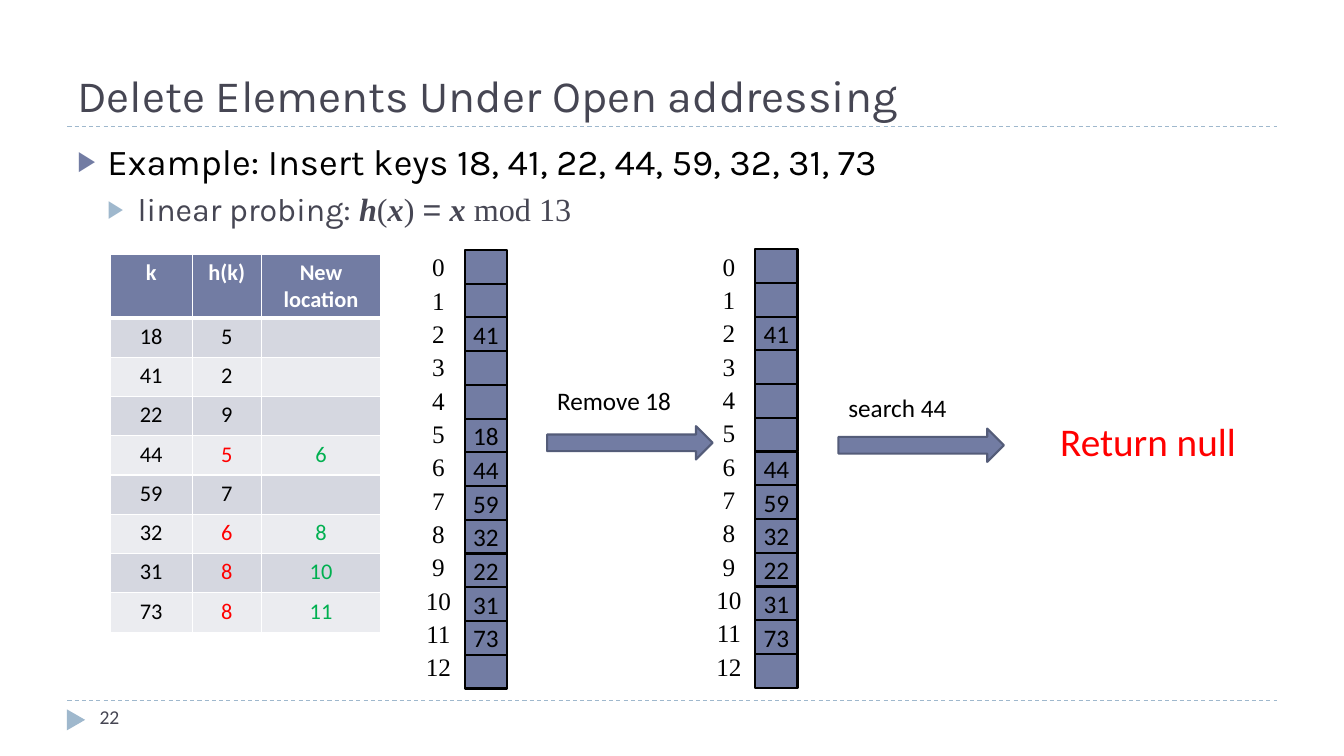
from lxml.etree import SubElement
from pptx import Presentation
from pptx.dml.color import RGBColor
from pptx.enum.dml import MSO_LINE_DASH_STYLE as Dash
from pptx.enum.shapes import MSO_CONNECTOR as Connector, MSO_SHAPE as Shape
from pptx.enum.text import MSO_ANCHOR as Anchor, PP_ALIGN as Align
from pptx.oxml.ns import qn
from pptx.util import Cm, Pt

# Colours and fonts
WHITE = RGBColor(0xFF, 0xFF, 0xFF)
BLACK = RGBColor(0, 0, 0)
RED = RGBColor(0xFF, 0, 0)
GREEN = RGBColor(0, 0xB0, 0x50)
SLATE = RGBColor(0x46, 0x46, 0x53)
INDIGO = RGBColor(0x72, 0x7C, 0xA3)
DARK_INDIGO = RGBColor(0x54, 0x5C, 0x79)
SKY = RGBColor(0x9F, 0xB8, 0xCD)
BANDS = (RGBColor(0xD5, 0xD7, 0xE0), RGBColor(0xEB, 0xEC, 0xF0))
KARLA, CALIBRI, TIMES, ARIAL = "Karla", "Calibri", "Times New Roman", "Arial"

# Content
TITLE = "Delete Elements Under Open addressing"
PAGE = "22"
# Bullets: level, size, colour, bullet colour, space before,
# runs of (text, font, bold italic)
BULLETS = [
    (0, 26, BLACK, INDIGO, 6,
     [("Example: Insert keys 18, 41, 22, 44, 59, 32, 31, 73", KARLA, False)]),
    (1, 23, SLATE, SKY, 5,
     [("linear probing: ", KARLA, False), ("h", TIMES, True),
      ("(", TIMES, False), ("x", TIMES, True), (") ", TIMES, False),
      ("=", ARIAL, False), (" x ", TIMES, True), ("mod 13", TIMES, False)]),
]
HEADER = ("k", "h(k)", "New\nlocation")
PROBES = [
    ("18", "5", ""), ("41", "2", ""), ("22", "9", ""), ("44", "5", "6"),
    ("59", "7", ""), ("32", "6", "8"), ("31", "8", "10"), ("73", "8", "11"),
]
SLOTS = 13
FULL = {2: 41, 5: 18, 6: 44, 7: 59, 8: 32, 9: 22, 10: 31, 11: 73}
AFTER_REMOVAL = {slot: key for slot, key in FULL.items() if key != 18}
# Hash tables: left of cells, top, keys by slot
HASH_TABLES = [(11.71, 6.3, FULL), (19.03, 6.28, AFTER_REMOVAL)]
# Steps: label, left, label top, arrow top
STEPS = [("Remove 18", 13.79, 9.58, 10.74), ("search 44", 21.13, 9.75, 10.8)]
RESULT = "Return null"

# Layout in centimetres
RULE_LEFT, RULE_RIGHT, RULE_TOPS = 1.7, 32.18, (17.65, 3.18)
CELL_WIDTH, CELL_PITCH = 1.07, 0.85
INDEX_OFFSET, INDEX_WIDTH, INDEX_PITCH = -1.25, 1.18, 0.84
STEP_WIDTH = 4.17
COLUMN_WIDTHS = (2.08, 1.73, 3.02)
HEADER_HEIGHT, ROW_HEIGHT = 1.6, 0.99


def style(font, size, face, color, bold=False):
    font.size, font.name, font.bold = Pt(size), face, bold
    font.color.rgb = color


def write(frame, text, size, face, color, align=Align.LEFT, bold=False):
    frame.text = text
    for paragraph in frame.paragraphs:
        paragraph.alignment = align
        style(paragraph.font, size, face, color, bold)


def add_text(shapes, box, text, size, face, color, align=Align.LEFT):
    frame = shapes.add_textbox(*map(Cm, box)).text_frame
    frame.word_wrap = True
    write(frame, text, size, face, color, align)
    return frame


def add_block(shapes, kind, box, fill, line=None):
    block = shapes.add_shape(kind, *map(Cm, box))
    block.shadow.inherit = False
    block.fill.solid()
    block.fill.fore_color.rgb = fill
    if line is None:
        block.line.fill.background()
    else:
        block.line.color.rgb = line
        block.line.width = Pt(1.5)
    return block


def add_bullet(paragraph, level, color):
    properties = paragraph._p.get_or_add_pPr()
    properties.set("marL", str(Cm(0.76 * (level + 1))))
    properties.set("indent", str(Cm(-0.76)))
    bullet_color = SubElement(properties, qn("a:buClr"))
    SubElement(bullet_color, qn("a:srgbClr"), val=str(color))
    SubElement(properties, qn("a:buSzPct"), val="76000")
    SubElement(properties, qn("a:buFont"), typeface=ARIAL)
    SubElement(properties, qn("a:buChar"), char="▶")


def fill_cell(cell, text, color, fill, bold=False):
    for side in "LRTB":
        width = Pt(3 if bold and side == "B" else 1)
        border = SubElement(cell._tc.get_or_add_tcPr(), qn(f"a:ln{side}"), w=str(width))
        paint = SubElement(border, qn("a:solidFill"))
        SubElement(paint, qn("a:srgbClr"), val=str(WHITE))
    cell.fill.solid()
    cell.fill.fore_color.rgb = fill
    write(cell.text_frame, text, 16, CALIBRI, color, Align.CENTER, bold)


deck = Presentation()
deck.slide_width, deck.slide_height = Cm(33.87), Cm(19.05)
shapes = deck.slides.add_slide(deck.slide_layouts[6]).shapes

# Dashed rules and page marker
for top in RULE_TOPS:
    rule = shapes.add_connector(
        Connector.STRAIGHT, Cm(RULE_LEFT), Cm(top), Cm(RULE_RIGHT), Cm(top))
    rule.line.color.rgb = SKY
    rule.line.width = Pt(0.75)
    rule.line.dash_style = Dash.DASH
    SubElement(rule._element.spPr, qn("a:effectLst"))
marker = add_block(shapes, Shape.ISOSCELES_TRIANGLE, (1.65, 17.91, 0.53, 0.46), SKY)
marker.rotation = 90
add_text(shapes, (2.26, 17.65, 7.34, 1.02), PAGE, 14, CALIBRI, SLATE)

# Title and bullets
title = add_text(shapes, (1.7, 0.43, 30.48, 2.75), TITLE, 32, KARLA, SLATE)
title.vertical_anchor = Anchor.BOTTOM
body = shapes.add_textbox(Cm(1.7), Cm(3.38), Cm(30.48), Cm(2.7)).text_frame
body.word_wrap = True
for level, size, color, bullet_color, space, runs in BULLETS:
    paragraph = body.paragraphs[0] if level == 0 else body.add_paragraph()
    paragraph.level = level
    paragraph.space_before = Pt(space)
    add_bullet(paragraph, level, bullet_color)
    for text, face, emphasis in runs:
        run = paragraph.add_run()
        run.text = text
        style(run.font, size, face, color, emphasis)
        run.font.italic = emphasis

# Probe table; a key with a new location collided
probes = shapes.add_table(
    len(PROBES) + 1, len(HEADER), Cm(2.77), Cm(6.4), Cm(sum(COLUMN_WIDTHS)),
    Cm(HEADER_HEIGHT + ROW_HEIGHT * len(PROBES))).table
for column, width in zip(probes.columns, COLUMN_WIDTHS):
    column.width = Cm(width)
for row in probes.rows:
    row.height = Cm(ROW_HEIGHT)
probes.rows[0].height = Cm(HEADER_HEIGHT)
for column, text in enumerate(HEADER):
    fill_cell(probes.cell(0, column), text, WHITE, INDIGO, bold=True)
for row, probe in enumerate(PROBES):
    colors = (BLACK, RED, GREEN) if probe[2] else (BLACK,) * 3
    for column, (text, color) in enumerate(zip(probe, colors)):
        fill_cell(probes.cell(row + 1, column), text, color, BANDS[row % 2])

# Hash tables with slot numbers
for left, top, keys in HASH_TABLES:
    group = shapes.add_group_shape().shapes
    for slot in range(SLOTS):
        box = (left, top + slot * CELL_PITCH, CELL_WIDTH, CELL_PITCH)
        cell = add_block(group, Shape.RECTANGLE, box, INDIGO, BLACK)
        if slot in keys:
            frame = cell.text_frame
            frame.margin_left = frame.margin_right = 0
            frame.margin_top = frame.margin_bottom = 0
            frame.vertical_anchor = Anchor.MIDDLE
            write(frame, str(keys[slot]), 18, CALIBRI, BLACK, Align.CENTER)
        box = (left + INDEX_OFFSET, top - 0.08 + slot * INDEX_PITCH, INDEX_WIDTH, 1.02)
        index = add_text(group, box, str(slot), 18, TIMES, BLACK, Align.CENTER)
        index.margin_left = index.margin_right = 0

# Steps and result
for label, left, label_top, arrow_top in STEPS:
    add_block(shapes, Shape.RIGHT_ARROW, (left, arrow_top, STEP_WIDTH, 0.84),
              INDIGO, DARK_INDIGO)
    add_text(shapes, (left, label_top, STEP_WIDTH, 1.02), label, 18, CALIBRI, BLACK)
add_text(shapes, (26.47, 10.39, 5.54, 1.45), RESULT, 28, CALIBRI, RED)

deck.save("out.pptx")
